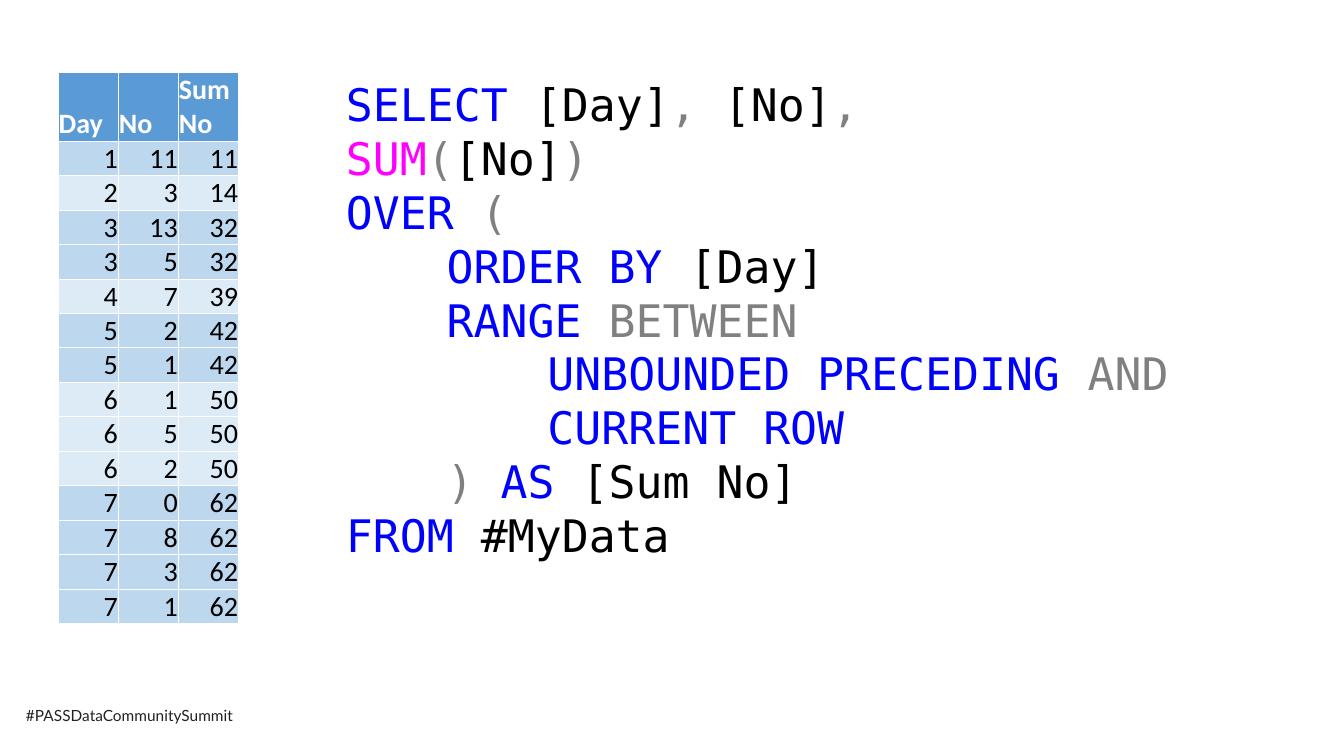
from lxml.etree import SubElement
from pptx import Presentation
from pptx.dml.color import RGBColor
from pptx.enum.text import MSO_ANCHOR, MSO_AUTO_SIZE, PP_ALIGN
from pptx.oxml.ns import qn
from pptx.util import Pt

KEYWORD, FUNCTION, OPERATOR, NAME = "0000FF", "FF00FF", "808080", "000000"
WHITE, HEADER_FILL, ODD_DAY_FILL, EVEN_DAY_FILL = "FFFFFF", "5B9BD5", "BDD7EE", "DDEBF7"

# Day and number; the running sum follows from them
DAILY_NUMBERS = [
    (1, 11), (2, 3), (3, 13), (3, 5), (4, 7), (5, 2), (5, 1),
    (6, 1), (6, 5), (6, 2), (7, 0), (7, 8), (7, 3), (7, 1),
]

# Query lines as coloured pieces
QUERY = [
    [("SELECT", KEYWORD), (" [Day]", NAME), (",", OPERATOR), (" [No]", NAME), (",", OPERATOR)],
    [("SUM", FUNCTION), ("(", OPERATOR), ("[No]", NAME), (")", OPERATOR)],
    [("OVER ", KEYWORD), ("(", OPERATOR)],
    [("\tORDER BY", KEYWORD), (" [Day]", NAME)],
    [("\tRANGE ", KEYWORD), ("BETWEEN", OPERATOR)],
    [("\t\tUNBOUNDED PRECEDING ", KEYWORD), ("AND", OPERATOR)],
    [("\t\tCURRENT ROW", KEYWORD)],
    [("\t) ", OPERATOR), ("AS", KEYWORD), (" [Sum No]", NAME)],
    [("FROM", KEYWORD), (" #MyData", NAME)],
]


def colour(hex_code):
    return RGBColor.from_string(hex_code)


def apply(target, values):
    for attribute, value in values.items():
        setattr(target, attribute, value)


class SlideBuilder:
    code_font = {"name": "DejaVu Sans Mono", "size": Pt(32)}
    footer_font = {"name": "Lato", "size": Pt(11)}
    table_font = {"name": "Calibri", "size": Pt(20)}
    cell_format = {
        "vertical_anchor": MSO_ANCHOR.BOTTOM,
        "margin_left": Pt(0.4), "margin_right": Pt(0.4),
        "margin_top": Pt(0.4), "margin_bottom": Pt(0),
    }
    tab_stops = (72, 144)
    border_width = 0.5

    def __init__(self, slide):
        self.slide = slide

    def text(self, left, top, width, height, lines, font, wrap=True):
        box = self.slide.shapes.add_textbox(Pt(left), Pt(top), Pt(width), Pt(height))
        frame = box.text_frame
        apply(frame, {"word_wrap": wrap, "auto_size": MSO_AUTO_SIZE.SHAPE_TO_FIT_TEXT})
        for index, pieces in enumerate(lines):
            line = frame.add_paragraph() if index else frame.paragraphs[0]
            if pieces[0][0].startswith("\t"):
                self.tabs(line)
            for words, hex_code in pieces:
                run = line.add_run()
                run.text = words
                apply(run.font, font)
                run.font.color.rgb = colour(hex_code)

    def tabs(self, line):
        stops = SubElement(line._p.get_or_add_pPr(), qn("a:tabLst"))
        for position in self.tab_stops:
            SubElement(stops, qn("a:tab"), pos=str(Pt(position)), algn="l")

    def table(self, left, top, column_width, header_height, row_height, headings, rows):
        frame = self.slide.shapes.add_table(
            len(rows) + 1, len(headings), Pt(left), Pt(top),
            Pt(column_width * len(headings)), Pt(header_height + row_height * len(rows)))
        grid = frame.table
        apply(grid, {"first_row": True, "horz_banding": False})
        for column in grid.columns:
            column.width = Pt(column_width)
        for index, row in enumerate(grid.rows):
            row.height = Pt(row_height if index else header_height)

        for column, heading in enumerate(headings):
            self.cell(grid.cell(0, column), heading, HEADER_FILL, WHITE, True, PP_ALIGN.LEFT)
        for index, values in enumerate(rows, start=1):
            fill = ODD_DAY_FILL if values[0] % 2 else EVEN_DAY_FILL
            for column, value in enumerate(values):
                self.cell(grid.cell(index, column), str(value), fill, NAME, False, PP_ALIGN.RIGHT)

    def cell(self, cell, words, fill, hex_code, bold, alignment):
        apply(cell, self.cell_format)
        self.borders(cell)
        cell.fill.solid()
        cell.fill.fore_color.rgb = colour(fill)
        line = cell.text_frame.paragraphs[0]
        apply(line, {"text": words, "alignment": alignment})
        for run in line.runs:
            apply(run.font, {**self.table_font, "bold": bold})
            run.font.color.rgb = colour(hex_code)

    def borders(self, cell):
        properties = cell._tc.get_or_add_tcPr()
        for side in ("lnL", "lnR", "lnT", "lnB"):
            edge = SubElement(properties, qn(f"a:{side}"), w=str(Pt(self.border_width)))
            SubElement(SubElement(edge, qn("a:solidFill")), qn("a:srgbClr"), val=WHITE)


def main():
    deck = Presentation()
    apply(deck, {"slide_width": Pt(960), "slide_height": Pt(540)})
    builder = SlideBuilder(deck.slides.add_slide(deck.slide_layouts[6]))

    # Footer
    builder.text(11.5, 501, 168.5, 21, [[("#PASSDataCommunitySummit", "222222")]],
                 builder.footer_font, wrap=False)

    # Running sum over all rows up to and including the same day
    rows = [(day, number, sum(n for d, n in DAILY_NUMBERS if d <= day))
            for day, number in DAILY_NUMBERS]
    builder.table(41.5, 51.6, 43, 49.2, 24.62, ("Day", "No", "Sum\vNo"), rows)

    # Query
    builder.text(240, 51.6, 678, 356.5, QUERY, builder.code_font)

    deck.save("out.pptx")


if __name__ == "__main__":
    main()
